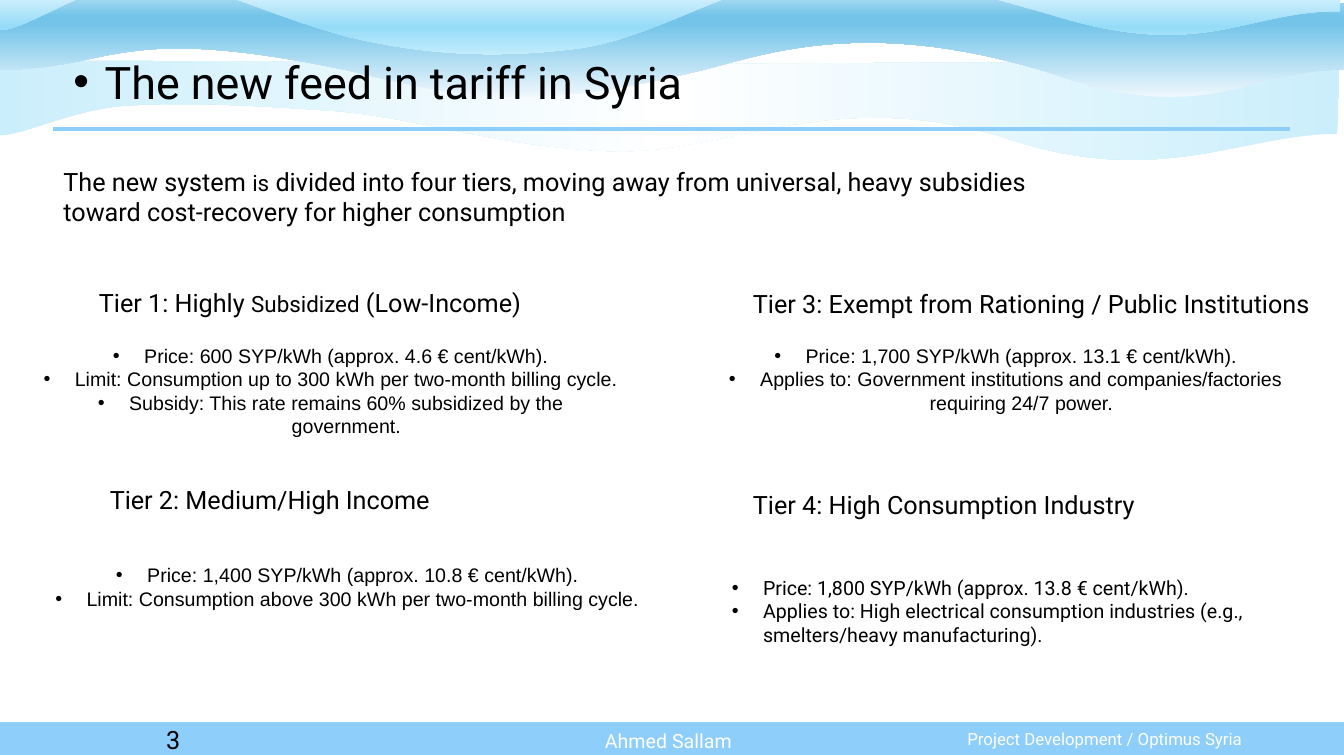
from lxml import etree
from pptx import Presentation
from pptx.dml.color import RGBColor
from pptx.enum.shapes import MSO_CONNECTOR, MSO_SHAPE
from pptx.enum.text import MSO_ANCHOR, PP_ALIGN
from pptx.oxml.ns import qn
from pptx.util import Inches, Pt

LEFT, CENTER, RIGHT = PP_ALIGN.LEFT, PP_ALIGN.CENTER, PP_ALIGN.RIGHT
TOP, MIDDLE = MSO_ANCHOR.TOP, MSO_ANCHOR.MIDDLE
RECTANGLE, STRAIGHT = MSO_SHAPE.RECTANGLE, MSO_CONNECTOR.STRAIGHT

WIDTH, HEIGHT = Inches(13.33), Inches(7.5)


class Theme:
    ink = RGBColor(0, 0, 0)
    white = RGBColor(255, 255, 255)
    sky = RGBColor(0x8E, 0xCE, 0xFA)
    heading_font, list_font = "Roboto", "Arial"
    title, heading, small_word, body, footer = 32, 18, 16, 14, 12
    indent = 0.31


# Waves on a grid of one-inch columns and rows: box, start, segments, gradient.
# A segment holds one point (line) or three points (Bezier curve).
WAVES = [
    ((-0.04, 0.3, 13.36, 0.98), (13.3, 1.03),
     [((12.37, 1.02), (11.52, 1.59), (9.99, 1.06)),
      ((8.27, 0.54), (7.21, 1.24), (6.1, 1.2)),
      ((4.99, 1.16), (4.21, 0.87), (3.35, 0.8)),
      ((2.49, 0.74), (1.83, 0.71), (1.27, 0.75)),
      ((0.71, 0.79), (0.14, 1.11), (-0.02, 1.03)),
      ((-0.02, 0.8), (-0.04, 0.53), (-0.04, 0.3)),
      ((3.13, 0.31),), ((6.52, 0.34),), ((9.41, 0.32),), ((13.32, 0.34),),
      ((13.32, 0.55), (13.32, 0.8), (13.3, 1.03))],
     0, [(0, "CAEEFB"), (50, "FFFFFF"), (100, "CAEEFB")]),
    ((0, -0.01, 13.33, 0.98), (13.32, 0.7),
     [((12.39, 0.7), (11.96, 1.28), (10.44, 0.74)),
      ((8.71, 0.2), (7.73, 0.5), (7.06, 0.68)),
      ((5.28, 1.14), (4.59, 0.98), (3.46, 0.71)),
      ((1.13, 0.22), (1.15, 0.7), (0, 0.7)),
      ((0, 0.47), (0.01, 0.24), (0.01, 0)),
      ((3.13, 0.01),), ((6.54, -0.01),), ((9.46, 0),), ((13.33, 0.04),),
      ((13.33, 0.26), (13.34, 0.47), (13.32, 0.7))],
     90, [(0, "F0F8FD"), (74, "74C4E9"), (83, "74C4E9"), (100, "A2D8F0")]),
    ((-0.03, -0.26, 13.36, 1.06), (13.32, 0.37),
     [((12.39, 0.36), (11.96, 0.88), (10.44, 0.4)),
      ((8.72, -0.08), (8.91, -0.05), (8.13, 0.01)),
      ((7.35, 0.06), (6.53, 0.64), (5.76, 0.74)),
      ((4.98, 0.84), (4.24, 0.81), (3.47, 0.62)),
      ((2.58, 0.38), (2.07, 0.06), (1.5, 0.06)),
      ((0.92, 0.06), (0.22, 0.63), (-0.03, 0.55)),
      ((-0.02, 0.34), (0.01, -0.04), (0.01, -0.25)),
      ((3.13, -0.24),), ((6.54, -0.26),), ((9.46, -0.25),), ((13.33, -0.22),),
      ((13.33, -0.03), (13.34, 0.16), (13.32, 0.37))],
     90, [(0, "EFFCFF"), (50, "96DCF8"), (100, "FFFFFF")]),
]

# Tiers: heading, heading box, heading alignment, items, list box,
# list alignment, list font, left margin. Boxes are in percent of the slide.
TIERS = [
    (["Tier 1: Highly ", ("Subsidized", Theme.small_word), " (Low-Income)"],
     (-0.6, 37.4, 47.33, 5.33), CENTER,
     ["Price: 600 SYP/kWh (approx. 4.6 € cent/kWh).",
      "Limit: Consumption up to 300 kWh per two-month billing cycle.",
      "Subsidy: This rate remains 60% subsidized by the government."],
     (2.48, 44.8, 44.26, 17.07), CENTER, Theme.list_font, Theme.indent),
    (["Tier 2: Medium/High Income"], (7.43, 63.4, 42.6, 5.33), LEFT,
     ["Price: 1,400 SYP/kWh (approx. 10.8 € cent/kWh).",
      "Limit: Consumption above 300 kWh per two-month billing cycle."],
     (-3.6, 73.87, 58.9, 7.6), CENTER, Theme.list_font, Theme.indent),
    (["Tier 3: Exempt from Rationing / Public Institutions"],
     (55.29, 37.47, 43.14, 5.33), LEFT,
     ["Price: 1,700 SYP/kWh (approx. 13.1 € cent/kWh).",
      "Applies to: Government institutions and companies/factories "
      "requiring 24/7 power."],
     (51.39, 44.8, 46.89, 10.8), CENTER, Theme.list_font, Theme.indent),
    (["Tier 4: High Consumption Industry"], (55.29, 64, 39.3, 5.33), LEFT,
     ["Price: 1,800 SYP/kWh (approx. 13.8 € cent/kWh).",
      "Applies to: High electrical consumption industries (e.g., "
      "smelters/heavy manufacturing)."],
     (49.96, 75.47, 46.89, 13.87), LEFT, Theme.heading_font, 0.81),
]


def share(x, y):
    return int(WIDTH * x / 100), int(HEIGHT * y / 100)


def add_wave(s, box, start, segments, angle, stops):
    left, top, width, height = (Inches(length) for length in box)

    # The shape is turned by 180 degrees, so points count from its far corner
    def turned(point):
        return left + width - Inches(point[0]), top + height - Inches(point[1])

    builder = s.shapes.build_freeform(*turned(start))
    builder.add_line_segments([turned(segment[-1]) for segment in segments])
    wave = builder.convert_to_shape()
    wave.left, wave.top, wave.width, wave.height = left, top, width, height
    wave.rotation = 180
    wave.shadow.inherit = False
    wave.line.fill.background()

    # Outline with curves
    geometry = wave._element.spPr.find(qn("a:custGeom"))
    outline = geometry.find(qn("a:pathLst"))[0]
    outline.set("w", str(width))
    outline.set("h", str(height))
    for child in list(outline):
        outline.remove(child)
    for tag, points in [("a:moveTo", (start,))] + [
            ("a:lnTo" if len(seg) == 1 else "a:cubicBezTo", seg) for seg in segments]:
        step = etree.SubElement(outline, qn(tag))
        for point in points:
            x, y = turned(point)
            etree.SubElement(step, qn("a:pt"), x=str(x - left), y=str(y - top))
    etree.SubElement(outline, qn("a:close"))

    # Gradient with any number of stops
    gradient = etree.Element(qn("a:gradFill"), rotWithShape="1")
    stop_list = etree.SubElement(gradient, qn("a:gsLst"))
    for position, color in stops:
        stop = etree.SubElement(stop_list, qn("a:gs"), pos=str(position * 1000))
        etree.SubElement(stop, qn("a:srgbClr"), val=color)
    etree.SubElement(gradient, qn("a:lin"), ang=str(angle * 60000), scaled="0")
    geometry.addnext(gradient)


def add_bullet(p, margin):
    pPr = p._p.get_or_add_pPr()
    pPr.set("marL", str(Inches(margin)))
    pPr.set("indent", str(-Inches(Theme.indent)))
    etree.SubElement(pPr, qn("a:buFont"), typeface="Arial")
    etree.SubElement(pPr, qn("a:buChar"), char="•")


def add_text(s, box, paragraphs, size, align=LEFT, font=Theme.heading_font,
             color=Theme.ink, margin=None, anchor=TOP):
    """Each paragraph is a list of strings or (string, size) pairs."""
    x, y, w, h = box
    tf = s.shapes.add_textbox(*share(x, y), *share(w, h)).text_frame
    tf.word_wrap = True
    tf.vertical_anchor = anchor
    for index, pieces in enumerate(paragraphs):
        p = tf.add_paragraph() if index else tf.paragraphs[0]
        p.alignment = align
        if margin is not None:
            add_bullet(p, margin)
        for piece in pieces:
            text, points = (piece, size) if isinstance(piece, str) else piece
            r = p.add_run()
            r.text = text
            r.font.size, r.font.name = Pt(points), font
            r.font.color.rgb = color


def add_band(s):
    band = s.shapes.add_shape(RECTANGLE, *share(-0.08, 95.33), *share(100.15, 4.67))
    band.shadow.inherit = False
    band.fill.solid()
    band.fill.fore_color.rgb = Theme.sky
    band.line.color.rgb = Theme.white
    band.line.width = Pt(1.5)


def add_rule(s):
    rule = s.shapes.add_connector(STRAIGHT, *share(3.98, 17.07), *share(96.02, 17.07))
    rule.line.color.rgb = Theme.sky
    rule.line.width = Pt(3)
    etree.SubElement(rule._element.spPr, qn("a:effectLst"))


def main():
    prs = Presentation()
    prs.slide_width, prs.slide_height = WIDTH, HEIGHT
    s = prs.slides.add_slide(prs.slide_layouts[6])
    # Header and footer decoration
    for wave in WAVES:
        add_wave(s, *wave)
    add_band(s)
    add_rule(s)
    # Title and introduction
    add_text(s, (4.73, 6.53, 73.8, 15.73), [["The new feed in tariff in Syria"]],
             Theme.title, margin=Theme.indent)
    add_text(s, (3.98, 21.33, 76, 9.47),
             [["The new system ", ("is", Theme.small_word),
               " divided into four tiers, moving away from universal, heavy "
               "subsidies toward cost-recovery for higher consumption"]], Theme.heading)
    # Tiers
    for heading, box, align, items, list_box, list_align, font, margin in TIERS:
        add_text(s, box, [heading], Theme.heading, align)
        add_text(s, list_box, [[item] for item in items], Theme.body,
                 list_align, font, margin=margin)
    # Footer
    add_text(s, (11.63, 95.2, 4.65, 5.33), [["3"]], Theme.heading)
    add_text(s, (42.76, 95.33, 13.95, 5.33), [["Ahmed Sallam"]], Theme.body,
             CENTER, color=Theme.white, anchor=MIDDLE)
    add_text(s, (69.54, 95.73, 23.63, 5.33), [["Project Development / Optimus Syria"]],
             Theme.footer, RIGHT, color=Theme.white)
    prs.save("out.pptx")


if __name__ == "__main__":
    main()
